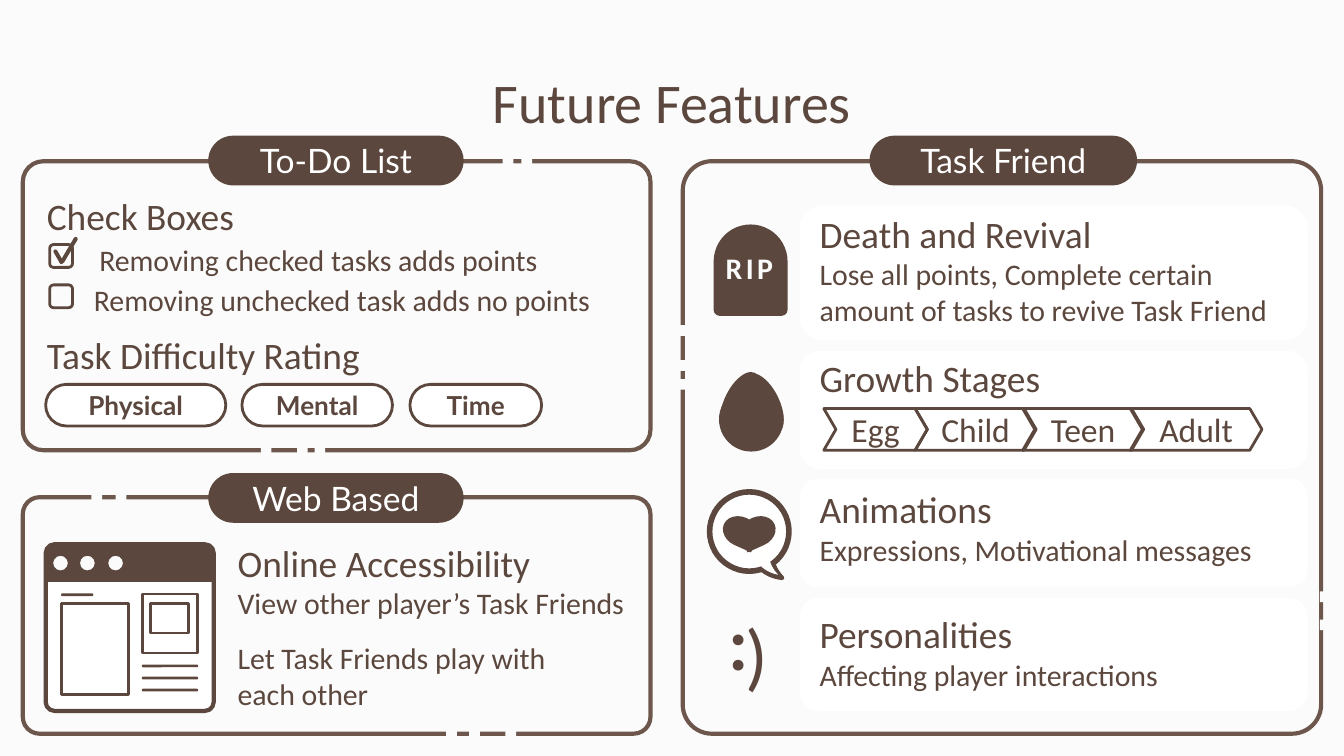
"""Build the Future Features slide: three framed panels with icons and labels."""
from lxml import etree
from pptx import Presentation
from pptx import util as u
from pptx.dml.color import RGBColor
from pptx.enum import shapes, text
from pptx.oxml import ns

PX = 9144
BROWN = RGBColor(0x5B, 0x47, 0x3D)
FRAME = RGBColor(0x6D, 0x57, 0x4C)
PAPER = RGBColor(0xFB, 0xFB, 0xFB)
WHITE = RGBColor(0xFF, 0xFF, 0xFF)
TAIL_WHITE = RGBColor(0xFF, 0xFF, 0xFE)
KIND = shapes.MSO_SHAPE
ROUND = KIND.ROUNDED_RECTANGLE
TOP, MIDDLE = text.MSO_ANCHOR.TOP, text.MSO_ANCHOR.MIDDLE
LEFT, CENTER = text.PP_ALIGN.LEFT, text.PP_ALIGN.CENTER


def draw(kind, at, fill=None, line=None, weight=1.5, adj=(), rot=0, flip=False, into=None):
    sp = (into or s).shapes.add_shape(kind, *[v * PX for v in at])
    sp.shadow.inherit = False
    for i, value in enumerate(adj):
        sp.adjustments[i] = value
    if fill is None:
        sp.fill.background()
    else:
        sp.fill.solid()
        sp.fill.fore_color.rgb = fill
    if line is None:
        sp.line.fill.background()
    else:
        sp.line.color.rgb = line
        sp.line.width = u.Pt(weight)
    sp.rotation = rot
    if flip:
        sp._element.spPr.xfrm.set("flipH", "1")
    return sp


def write(sp, words, size=16, color=BROWN, font="Calibri", bold=False, align=LEFT,
          anchor=TOP, before=0, spacing=1.0, indent=0, new=True):
    tf = sp.text_frame
    tf.word_wrap = True
    tf.vertical_anchor = anchor
    tf.margin_left = tf.margin_right = tf.margin_top = tf.margin_bottom = 10 * PX
    p = tf.paragraphs[-1]
    if new and p.runs:
        p = tf.add_paragraph()
    p.alignment = align
    p.space_before = u.Pt(before)
    p.line_spacing = spacing
    if indent:
        p._p.get_or_add_pPr().set("marL", str(indent * PX))
    for i, part in enumerate(words.split("\n")):
        if i:
            p.add_line_break()
            br = p._p.findall(ns.qn("a:br"))[-1]
            etree.SubElement(br, ns.qn("a:rPr"), sz=str(size * 100))
        r = p.add_run()
        r.text = part
        r.font.size = u.Pt(size)
        r.font.name = font
        r.font.bold = bold
        r.font.color.rgb = color


prs = Presentation()
prs.slide_width, prs.slide_height = 1000 * PX, 1000 * PX * 9 // 16
s = prs.slides.add_slide(prs.slide_layouts[6])
s.background.fill.solid()
s.background.fill.fore_color.rgb = PAPER

title = s.shapes.add_textbox(34 * PX, 40 * PX, 932 * PX, 63 * PX)
write(title, "Future Features", size=30, align=CENTER)

for label, panel, fill, radius, tab in [
    ("To-Do List", (17, 120, 467, 215), PAPER, 0.071, (155, 101, 190, 37)),
    ("Web Based", (17, 370, 467, 176), PAPER, 0.071, (155, 352, 190, 37)),
    ("Task Friend", (508, 120, 475, 426), None, 0.051, (647, 101, 199, 37)),
]:
    draw(ROUND, panel, fill, FRAME, 2.25, [radius])
    sp = draw(ROUND, tab, BROWN, adj=[0.5])
    write(sp, label, size=18, color=WHITE, font="Lato", align=CENTER, anchor=MIDDLE)

for top, height in [(153, 100), (261, 88), (356, 81), (445, 84)]:
    draw(ROUND, (595, top, 378, height), WHITE, adj=[0.167])

for at, heading, lines in [
    ((25, 134, 458, 110), "Check Boxes", [
        ("Removing checked tasks adds points", dict(indent=39, spacing=1.1)),
        ("Removing unchecked task adds no points", dict(indent=35, spacing=1.1))]),
    ((25, 237, 429, 54), "Task Difficulty Rating", []),
    ((167, 392, 317, 148), "Online Accessibility", [
        ("View other player’s Task Friends", {}),
        ("Let Task Friends play with\neach other", dict(before=10))]),
    ((600, 147, 378, 108), "Death and Revival", [
        ("Lose all points, Complete certain \namount of tasks to revive Task Friend", {})]),
    ((600, 254, 378, 54), "Growth Stages", []),
    ((600, 352, 378, 81), "Animations", [("Expressions, Motivational messages", {})]),
    ((600, 445, 354, 81), "Personalities", [("Affecting player interactions", {})]),
]:
    sp = s.shapes.add_textbox(*[v * PX for v in at])
    write(sp, heading, size=20)
    for words, fmt in lines:
        write(sp, words, **fmt)

draw(KIND.ROUND_2_SAME_RECTANGLE, (531, 167, 55, 68), BROWN, adj=[0.5, 0.08])
epitaph = s.shapes.add_textbox(528 * PX, 176 * PX, 59 * PX, 47 * PX)
for i, letter in enumerate("R I P"):
    write(epitaph, letter, size=8 if letter == " " else 16, color=PAPER, bold=True,
          align=CENTER, new=i == 0)

egg = s.shapes.add_group_shape()
draw(KIND.TEAR, (535, 288, 48, 48), BROWN, adj=[0.915], rot=315, into=egg)
draw(KIND.OVAL, (539, 275, 24, 49), BROWN, rot=25.9, into=egg)
draw(KIND.OVAL, (556, 276, 24, 49), BROWN, rot=334.1, flip=True, into=egg)

bubble = s.shapes.add_group_shape()
draw(KIND.MOON, (559, 387, 25, 42), BROWN, BROWN, 2.25, [0.591], 185.3, True, bubble)
draw(KIND.OVAL, (528, 366, 59, 59), WHITE, BROWN, 3, into=bubble)
draw(KIND.MOON, (561, 393, 21, 33), TAIL_WHITE, adj=[0.548], rot=190.2, flip=True, into=bubble)
draw(KIND.TEAR, (553, 382, 22, 27), BROWN, adj=[1], rot=245.9, flip=True, into=bubble)
draw(KIND.TEAR, (540, 382, 22, 27), BROWN, adj=[1], rot=114, into=bubble)

mouth = s.shapes.add_textbox(545 * PX, 442 * PX, 38 * PX, 88 * PX)
write(mouth, ")", size=40)
eyes = s.shapes.add_textbox(533 * PX, 436 * PX, 34 * PX, 84 * PX)
write(eyes, ":", size=38, font="Lato", bold=True)

for top in (182, 212):
    draw(ROUND, (37, top, 17, 17), line=BROWN, adj=[0.167])
draw(ROUND, (50, 175, 3, 22), BROWN, adj=[0.5], rot=30.7)
draw(ROUND, (42, 185, 3, 12), BROWN, adj=[0.5], rot=330.5)

for label, left, width in [("Physical", 34, 134), ("Mental", 180, 112), ("Time", 305, 98)]:
    sp = draw(ROUND, (left, 286, width, 31), WHITE, BROWN, adj=[0.5])
    write(sp, label, size=14, font="Lato", bold=True, align=CENTER, anchor=MIDDLE)

for label, left, width in [("Egg", 613, 77), ("Child", 681, 90), ("Teen", 761, 90), ("Adult", 841, 98)]:
    sp = draw(KIND.CHEVRON, (left, 304, width, 31), line=BROWN, adj=[0.292])
    write(sp, label, size=18, align=CENTER, anchor=MIDDLE)

for left, tops in [(504, (244, 270, 284)), (980, (442, 463))]:
    for top in tops:
        draw(KIND.RECTANGLE, (left, top, 8, 4), PAPER, rot=90)
for top, lefts in [(118, (374, 388)), (333, (194, 221, 234)), (368, (68, 86)), (544, (332, 349, 376))]:
    for left in lefts:
        draw(KIND.RECTANGLE, (left, top, 8, 4), PAPER)

draw(ROUND, (34, 405, 125, 124), WHITE, BROWN, 2.25, [0.053])
draw(KIND.ROUND_2_SAME_RECTANGLE, (34, 405, 125, 27), BROWN, BROWN, adj=[0.321, 0])
for left in (39, 59, 80):
    draw(KIND.OVAL, (left, 413, 12, 12), PAPER, BROWN, 0.75)
for frame in [(46, 449, 50, 68), (106, 442, 41, 44), (112, 449, 28, 22)]:
    draw(KIND.RECTANGLE, frame, line=BROWN)
for left, top, width in [(46, 442, 23), (106, 495, 41), (106, 504, 41), (106, 513, 41)]:
    draw(ROUND, (left, top, width, 1), BROWN, BROWN, 0.75, [0.5])

prs.save("out.pptx")
